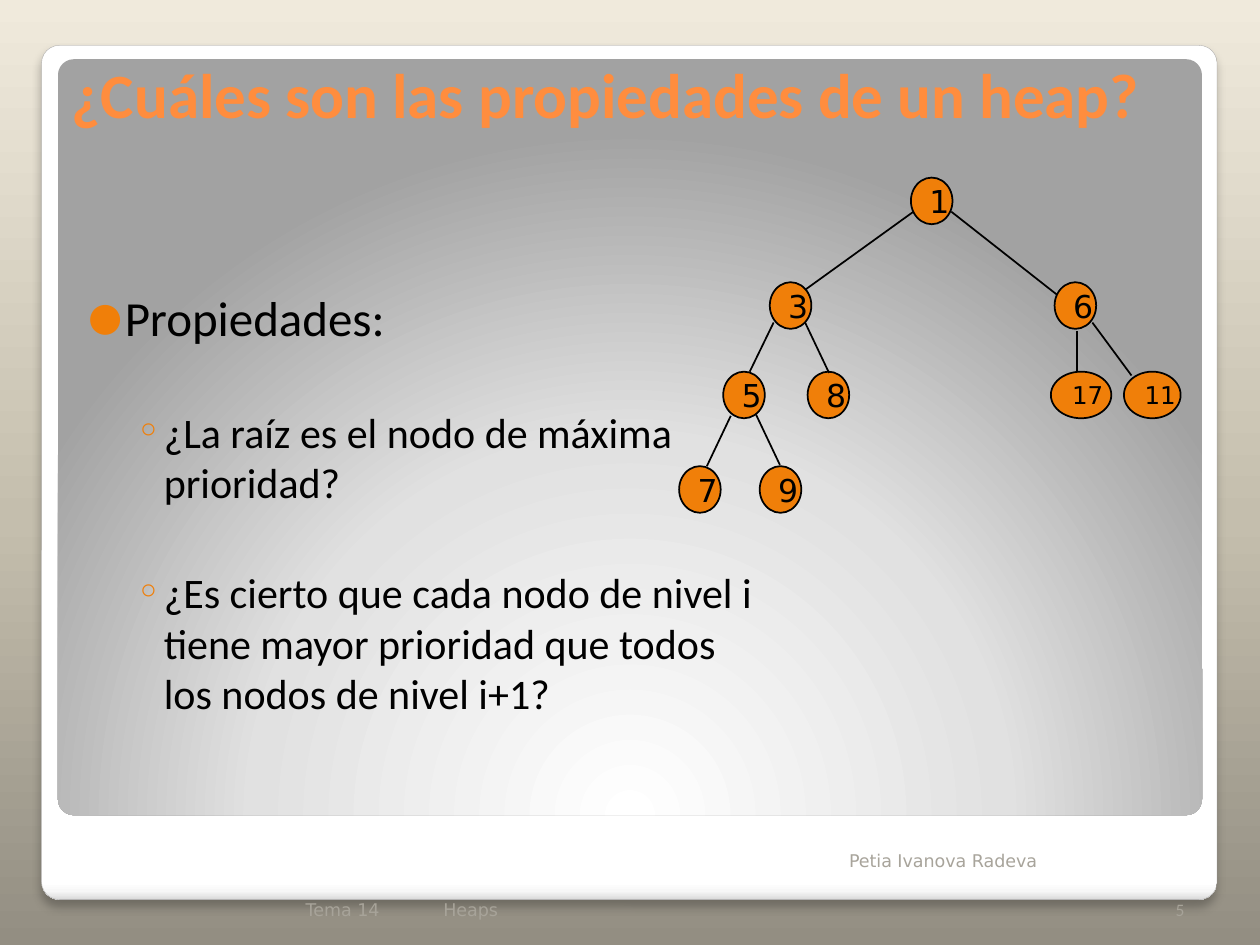
from lxml.etree import SubElement
from pptx import Presentation
from pptx.dml.color import RGBColor
from pptx.enum.shapes import MSO_CONNECTOR, MSO_SHAPE
from pptx.enum.text import MSO_ANCHOR, MSO_AUTO_SIZE, PP_ALIGN
from pptx.oxml.ns import qn
from pptx.util import Inches, Pt

TITLE = "¿Cuáles son las propiedades de un heap?"
HEAD = "Propiedades:"
ITEMS = [
    "¿La raíz es el nodo de máxima prioridad?",
    "¿Es cierto que cada nodo de nivel i tiene mayor prioridad que todos los nodos de nivel i+1?",
]
FOOTS = [
    ("Petia Ivanova Radeva", (6.64, 6.56, 2.5, 0.4), PP_ALIGN.LEFT, "A8A49B", "DejaVu Sans"),
    ("Tema 14", (0.5, 6.83, 2.61, 0.52), PP_ALIGN.RIGHT, "A7A399", "DejaVu Sans"),
    ("Heaps", (3.42, 6.83, 3.17, 0.52), PP_ALIGN.LEFT, "A7A399", "DejaVu Sans"),
    ("5", (7.17, 6.83, 2.33, 0.52), PP_ALIGN.RIGHT, "A7A399", "Calibri"),
]
ROWS = [1.41, 2.24, 2.95, 3.7]
NODES = [
    ("1", 7.23, 0, 0.33), ("3", 6.11, 1, 0.33), ("5", 5.74, 2, 0.33),
    ("8", 6.41, 2, 0.33), ("6", 8.37, 1, 0.33), ("11", 8.92, 2, 0.45),
    ("17", 8.34, 2, 0.48), ("9", 6.03, 3, 0.33), ("7", 5.39, 3, 0.33),
]
EDGES = [
    (6.39, 2.3, 7.25, 1.68), (7.55, 1.68, 8.39, 2.34),
    (6.14, 2.56, 5.95, 2.95), (6.58, 2.96, 6.39, 2.56),
    (5.8, 3.3, 5.61, 3.7), (6.19, 3.69, 6, 3.29),
    (8.98, 2.98, 8.67, 2.56), (8.55, 2.63, 8.55, 2.95),
]
BACK = [(0, "938E82"), (45, "C4BEAD"), (100, "F0EADC")]
CARD = [(0, "FFFFFF"), (98, "FFFFFF"), (99, "F7F7F7"), (100, "DADADA")]
PANEL = [(0, "FFFFFF"), (55, "E1E1E1"), (100, "A2A2A2")]


def rgb(code):
    return RGBColor.from_string(code)


def box(*sides):
    return [Inches(side) for side in sides]


def sub(node, tag, **attrs):
    return SubElement(node, qn(tag), {key: str(val) for key, val in attrs.items()})


def blend(fill, root, stops, angle=None):
    fill.gradient()
    grad = root.find(".//" + qn("a:gradFill"))
    for child in list(grad):
        grad.remove(child)
    group = sub(grad, "a:gsLst")
    for pos, code in stops:
        sub(sub(group, "a:gs", pos=pos * 1000), "a:srgbClr", val=code)
    if angle is None:
        sub(sub(grad, "a:path", path="circle"), "a:fillToRect",
            l=50000, t=175000, r=50000, b=-75000)
    else:
        sub(grad, "a:lin", ang=angle * 60000, scaled=0)


def write(para, text, size=18, font="Calibri", color="000000", bold=False,
          align=PP_ALIGN.LEFT, before=0):
    para.alignment = align
    para.space_before = Pt(before)
    run = para.add_run()
    run.text = text
    run.font.size = Pt(size)
    run.font.name = font
    run.font.bold = bold
    run.font.color.rgb = rgb(color)


def bullet(para, mark, left, hang, scale):
    props = para._p.get_or_add_pPr()
    props.set("marL", str(Inches(left)))
    props.set("indent", str(Inches(-hang)))
    sub(sub(props, "a:buClr"), "a:srgbClr", val="F07F09")
    sub(props, "a:buSzPct", val=scale * 1000)
    sub(props, "a:buFont", typeface="DejaVu Sans")
    sub(props, "a:buChar", char=mark)


def place(holder, spot, anchor):
    holder.left, holder.top, holder.width, holder.height = box(*spot)
    frame = holder.text_frame
    frame.word_wrap = True
    frame.auto_size = MSO_AUTO_SIZE.NONE
    frame.vertical_anchor = anchor
    return frame


def plate(spot, stops, angle=None):
    shape = slide.shapes.add_shape(MSO_SHAPE.ROUNDED_RECTANGLE, *box(*spot))
    shape.adjustments[0] = 0.021
    shape.shadow.inherit = False
    blend(shape.fill, shape._element.spPr, stops, angle)
    shape.line.fill.background()
    return shape


deck = Presentation()
deck.slide_width, deck.slide_height = box(10, 7.5)
slide = deck.slides.add_slide(deck.slide_layouts[1])
blend(slide.background.fill, slide._element, BACK, 270)
title, body = slide.placeholders

card = plate((0.33, 0.36, 9.33, 6.78), CARD, 90)
card.line.color.rgb = rgb("A4A3A3")
card.line.width = Pt(0.16)
shade = sub(card._element.spPr.find(qn("a:effectLst")), "a:outerShdw",
            blurRad=Pt(5), dist=Pt(4), dir=5400000, algn="t", rotWithShape=0)
sub(sub(shade, "a:srgbClr", val="000000"), "a:alpha", val=25000)
panel = plate((0.46, 0.47, 9.08, 6), PANEL)
tree = slide.shapes._spTree
for spot, part in enumerate((card, panel), 2):
    tree.insert(spot, part._element)

for text, spot, align, color, font in FOOTS:
    frame = place(slide.shapes.add_textbox(*box(*spot)), spot, MSO_ANCHOR.BOTTOM)
    write(frame.paragraphs[0], text, size=10, font=font, color=color, align=align)

frame = place(title, (0.47, 0.39, 8.95, 0.7), MSO_ANCHOR.BOTTOM)
write(frame.paragraphs[0], TITLE, size=36, color="FF8D3E", bold=True)

frame = place(body, (0.5, 2.18, 5.6, 4.52), MSO_ANCHOR.TOP)
frame.margin_left, frame.margin_top, frame.margin_right, frame.margin_bottom = box(0.2, 0.1, 0.1, 0.05)
write(frame.paragraphs[0], HEAD, size=28, before=2.5)
bullet(frame.paragraphs[0], "●", 0.29, 0.29, 80)
for text in ITEMS:
    para = frame.add_paragraph()
    para.level = 1
    write(para, text, size=24, before=34.3)
    bullet(para, "◦", 0.6, 0.22, 100)

for text, left, row, width in NODES:
    node = slide.shapes.add_shape(MSO_SHAPE.OVAL, *box(left, ROWS[row], width, 0.37))
    node.shadow.inherit = False
    node.fill.solid()
    node.fill.fore_color.rgb = rgb("F07F09")
    node.line.color.rgb = rgb("000000")
    node.line.width = Pt(1)
    node.text_frame.word_wrap = False
    node.text_frame.vertical_anchor = MSO_ANCHOR.MIDDLE
    write(node.text_frame.paragraphs[0], text, size=14 if len(text) > 1 else 18,
          font="DejaVu Sans")

for ends in EDGES:
    edge = slide.shapes.add_connector(MSO_CONNECTOR.STRAIGHT, *box(*ends))
    edge.line.color.rgb = rgb("000000")
    edge.line.width = Pt(1)
    sub(edge._element.spPr, "a:effectLst")

deck.save("out.pptx")
